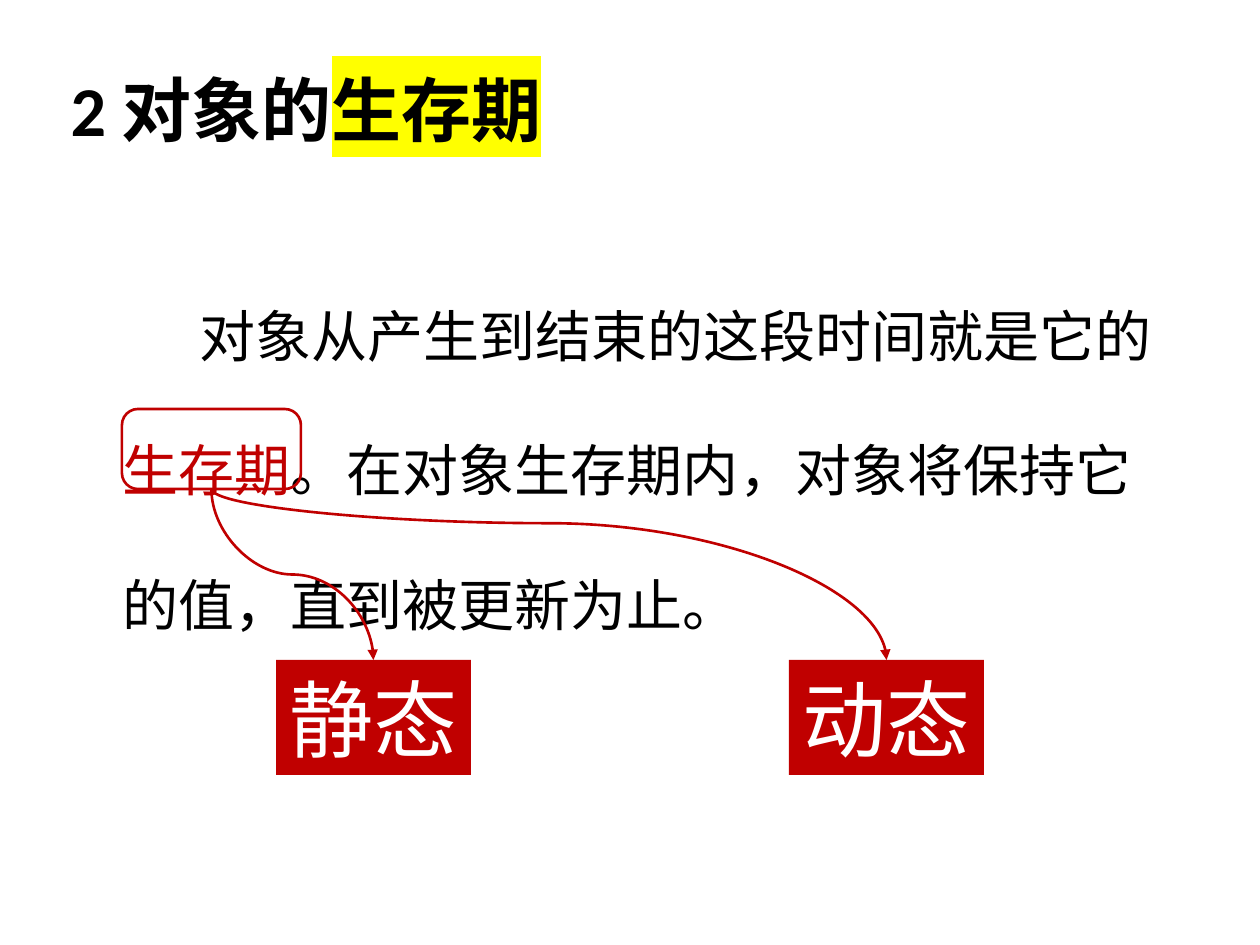
"""Build a slide on the lifetime of objects, with its two kinds."""
import pptx
import pptx.util
import pptx.dml.color
import pptx.enum.shapes
import pptx.enum.text
import pptx.oxml.ns
import lxml.etree

COLORS = {"ink": "000000", "accent": "C00000", "paper": "FFFFFF", "mark": "FFFF00"}
TITLE = [("2 对象的", None), ("生存期", "mark")]
BODY = [
    ("对象从产生到结束的这段时间就是它的", "ink", "Times New Roman"),
    ("生存期", "accent", "Times New Roman"),
    ("。", "ink", "Times New Roman"),
    ("在对象生存期内，对象将保持它的值，直到被更新为止。", "ink", "Noto Sans CJK SC"),
]
TITLE_AREA = (58, 70, 1134, 158)
BODY_AREA = (62, 228, 1134, 624)
TERM_AREA = (122, 409, 179, 80)
KIND_TOP, KIND_WIDTH, KIND_HEIGHT = 660, 195, 115
KINDS = [("静态", 276, 0.5), ("动态", 789, 0.2)]


def px(count):
    return pptx.util.Emu(round(count * 914400 / 126))


def color(name):
    return pptx.dml.color.RGBColor.from_string(COLORS[name])


def add_xml(parent, tag, **attributes):
    return lxml.etree.SubElement(parent, pptx.oxml.ns.qn(tag), **attributes)


def place(shape, area):
    shape.left, shape.top, shape.width, shape.height = map(px, area)


def style(font, size, name="Calibri", ink="ink", bold=False):
    font.size, font.name, font.bold = pptx.util.Pt(size), name, bold
    font.color.rgb = color(ink)


def fill_title(box):
    place(box, TITLE_AREA)
    box.text_frame.vertical_anchor = pptx.enum.text.MSO_ANCHOR.TOP
    para = box.text_frame.paragraphs[0]
    para.alignment = pptx.enum.text.PP_ALIGN.LEFT
    para.line_spacing = 0.9
    style(para.font, 40, bold=True)
    for text, mark in TITLE:
        span = para.add_run()
        span.text = text
        if mark:
            highlight = add_xml(span.font._element, "a:highlight")
            add_xml(highlight, "a:srgbClr", val=COLORS[mark])


def fill_body(box):
    place(box, BODY_AREA)
    para = box.text_frame.paragraphs[0]
    para.line_spacing = 2.0
    para.space_before = pptx.util.Pt(0)
    properties = para._p.get_or_add_pPr()
    properties.set("marL", str(px(48)))
    properties.set("indent", str(px(77)))
    add_xml(properties, "a:buNone")
    para.font.size = pptx.util.Pt(32)
    for text, ink, name in BODY:
        span = para.add_run()
        span.text = text
        span.font.name = name
        span.font.color.rgb = color(ink)


def add_term_frame(page):
    frame = page.shapes.add_shape(
        pptx.enum.shapes.MSO_SHAPE.ROUNDED_RECTANGLE, *map(px, TERM_AREA))
    frame.adjustments[0] = 0.2
    frame.shadow.inherit = False
    frame.fill.background()
    frame.line.color.rgb = color("accent")
    frame.line.width = pptx.util.Pt(1.5)


def add_kind(page, text, left):
    box = page.shapes.add_shape(
        pptx.enum.shapes.MSO_SHAPE.RECTANGLE,
        *map(px, (left, KIND_TOP, KIND_WIDTH, KIND_HEIGHT)))
    box.shadow.inherit = False
    box.fill.solid()
    box.fill.fore_color.rgb = color("accent")
    box.line.fill.background()
    box.text_frame.word_wrap = False
    para = box.text_frame.paragraphs[0]
    para.text = text
    style(para.font, 48, ink="paper")


def add_curve(page, start, end, bend):
    across, down = end[0] - start[0], end[1] - start[1]
    left = (start[0] + end[0] - down) / 2
    top = (start[1] + end[1] - across) / 2
    curve = page.shapes.add_connector(
        pptx.enum.shapes.MSO_CONNECTOR.CURVE,
        *map(px, (left, top, left + down, top + across)))
    curve.line.color.rgb = color("accent")
    curve.line.width = pptx.util.Pt(1.5)
    add_xml(curve.line._get_or_add_ln(), "a:tailEnd", type="triangle")
    properties = curve._element.spPr
    add_xml(properties, "a:effectLst")
    transform = properties.find(pptx.oxml.ns.qn("a:xfrm"))
    transform.set("rot", str(270 * 60000))
    transform.set("flipH", "1")
    guides = properties.find(pptx.oxml.ns.qn("a:prstGeom")).get_or_add_avLst()
    add_xml(guides, "a:gd", name="adj1", fmla=f"val {round(bend * 100000)}")


def main():
    deck = pptx.Presentation()
    deck.slide_width, deck.slide_height = px(1260), px(945)
    page = deck.slides.add_slide(deck.slide_layouts[1])
    fill_title(page.shapes.title)
    fill_body(page.placeholders[1])
    for text, left, bend in KINDS:
        add_kind(page, text, left)
    add_term_frame(page)
    left, top, width, height = TERM_AREA
    start = (left + width / 2, top + height)
    for text, kind_left, bend in KINDS:
        add_curve(page, start, (kind_left + KIND_WIDTH / 2, KIND_TOP), bend)
    deck.save("out.pptx")


if __name__ == "__main__":
    main()
